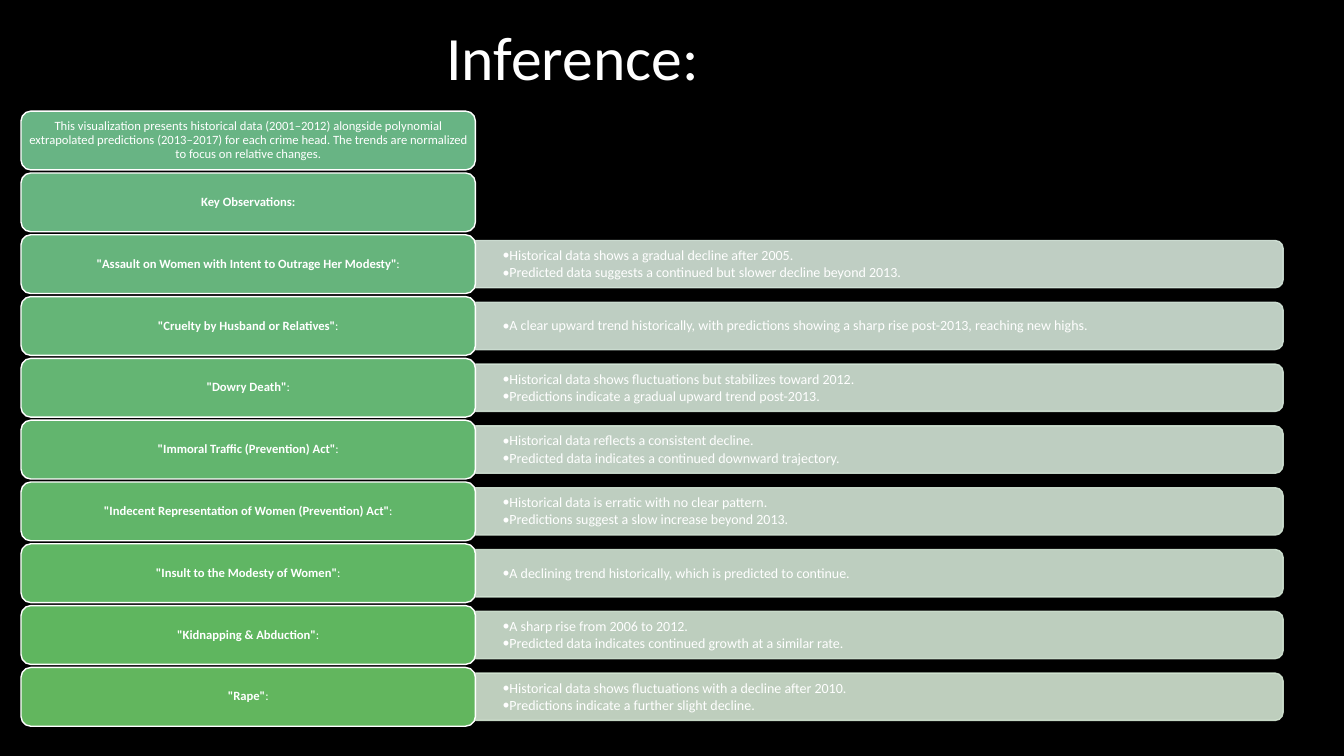
from dataclasses import dataclass
from lxml.etree import SubElement
from pptx import Presentation
from pptx.dml.color import RGBColor
from pptx.enum.shapes import MSO_SHAPE
from pptx.enum.text import MSO_ANCHOR, MSO_AUTO_SIZE, PP_ALIGN
from pptx.oxml.ns import qn
from pptx.util import Pt

FONT = "Calibri"
WHITE = "FFFFFF"
LEFT, TOP, PITCH = 15, 79.4, 44.15
CARD_W, CARD_H = 324.6, 42
BAR_W, BAR_H = 576.9, 33.8
BAR_X = LEFT + CARD_W


@dataclass
class Row:
    head: str
    fill: str
    tail: str = ":"
    bold: bool = True
    tint: str = ""
    notes: tuple[str, ...] = ()


ROWS = [
    Row("This visualization presents historical data (2001–2012) alongside polynomial "
        "extrapolated predictions (2013–2017) for each crime head. The trends are "
        "normalized to focus on relative changes.", "68B484", tail="", bold=False),
    Row("Key Observations:", "67B480", tail=""),
    Row('"Assault on Women with Intent to Outrage Her Modesty"', "66B47C", tint="D4E5D9", notes=(
        "Historical data shows a gradual decline after 2005.",
        "Predicted data suggests a continued but slower decline beyond 2013.")),
    Row('"Cruelty by Husband or Relatives"', "65B577", tint="D3E5D8", notes=(
        "A clear upward trend historically, with predictions showing a sharp rise "
        "post-2013, reaching new highs.",)),
    Row('"Dowry Death"', "64B573", tint="D3E5D7", notes=(
        "Historical data shows fluctuations but stabilizes toward 2012.",
        "Predictions indicate a gradual upward trend post-2013.")),
    Row('"Immoral Traffic (Prevention) Act"', "62B56E", tint="D3E5D6", notes=(
        "Historical data reflects a consistent decline.",
        "Predicted data indicates a continued downward trajectory.")),
    Row('"Indecent Representation of Women (Prevention) Act"', "61B569", tint="D3E5D5", notes=(
        "Historical data is erratic with no clear pattern.",
        "Predictions suggest a slow increase beyond 2013.")),
    Row('"Insult to the Modesty of Women"', "60B664", tint="D2E5D4", notes=(
        "A declining trend historically, which is predicted to continue.",)),
    Row('"Kidnapping & Abduction"', "5FB65F", tint="D2E5D3", notes=(
        "A sharp rise from 2006 to 2012.",
        "Predicted data indicates continued growth at a similar rate.")),
    Row('"Rape"', "62B65E", tint="D3E5D2", notes=(
        "Historical data shows fluctuations with a decline after 2010.",
        "Predictions indicate a further slight decline.")),
]


def paint(target, color: str, alpha: int = 100) -> None:
    """Give a fill a solid colour, with opacity in percent."""
    target.solid()
    target.fore_color.rgb = RGBColor.from_string(color)
    if alpha < 100:
        node = target._xPr.find(qn("a:solidFill"))
        SubElement(node[0], qn("a:alpha"), val=str(alpha * 1000))


def style(run, size: float, bold: bool = False) -> None:
    run.font.name = FONT
    run.font.size = Pt(size)
    run.font.bold = bold
    paint(run.font.fill, WHITE)


def pad(frame, side: float, edge: float) -> None:
    frame.word_wrap = True
    frame.vertical_anchor = MSO_ANCHOR.MIDDLE
    frame.margin_left = frame.margin_right = Pt(side)
    frame.margin_top = frame.margin_bottom = Pt(edge)


def bullet(para) -> None:
    props = para._p.get_or_add_pPr()
    props.set("marL", str(Pt(4.5)))
    props.set("indent", str(Pt(-4.5)))
    SubElement(props, qn("a:buFont"), typeface=FONT)
    SubElement(props, qn("a:buChar"), char="•")


def add_bar(slide, row: Row, mid: float) -> None:
    # Bar turned a quarter, so its rounded top faces right
    bar = slide.shapes.add_shape(
        MSO_SHAPE.ROUND_2_SAME_RECTANGLE, Pt(BAR_X + (BAR_W - BAR_H) / 2),
        Pt(mid - BAR_W / 2), Pt(BAR_H), Pt(BAR_W))
    bar.rotation = 90
    bar.shadow.inherit = False
    paint(bar.fill, row.tint, 90)
    bar.line.width = Pt(1)
    paint(bar.line.fill, row.tint, 90)

    # Bulleted notes
    box = slide.shapes.add_textbox(Pt(BAR_X), Pt(mid - 15), Pt(575), Pt(30.5))
    frame = box.text_frame
    frame.text = "\n".join(row.notes)
    pad(frame, 19.4, 0)
    for para in frame.paragraphs:
        para.line_spacing = 0.9
        para.space_after = Pt(1.5)
        bullet(para)
        style(para.runs[0], 10)


def add_card(slide, row: Row, top: float) -> None:
    card = slide.shapes.add_shape(
        MSO_SHAPE.ROUNDED_RECTANGLE, Pt(LEFT), Pt(top), Pt(CARD_W), Pt(CARD_H))
    card.shadow.inherit = False
    paint(card.fill, row.fill)
    card.line.width = Pt(1)
    paint(card.line.fill, WHITE)
    frame = card.text_frame
    frame.text = row.head
    pad(frame, 3, 1.5)
    para = frame.paragraphs[0]
    para.alignment = PP_ALIGN.CENTER
    para.line_spacing = 0.9
    style(para.runs[0], 9, row.bold)
    if row.tail:
        run = para.add_run()
        run.text = row.tail
        style(run, 9)


def main() -> None:
    deck = Presentation()
    deck.slide_width, deck.slide_height = Pt(960), Pt(540)
    slide = deck.slides.add_slide(deck.slide_layouts[6])
    paint(slide.background.fill, "000000")

    # Rows
    for i, row in enumerate(ROWS):
        top = TOP + i * PITCH
        if row.notes:
            add_bar(slide, row, top + CARD_H / 2)
        add_card(slide, row, top)

    # Title
    title = slide.shapes.add_textbox(Pt(311.8), Pt(10), Pt(197.3), Pt(61))
    title.text_frame.word_wrap = True
    title.text_frame.auto_size = MSO_AUTO_SIZE.SHAPE_TO_FIT_TEXT
    title.text_frame.text = "Inference:"
    style(title.text_frame.paragraphs[0].runs[0], 44)

    deck.save("out.pptx")


if __name__ == "__main__":
    main()
